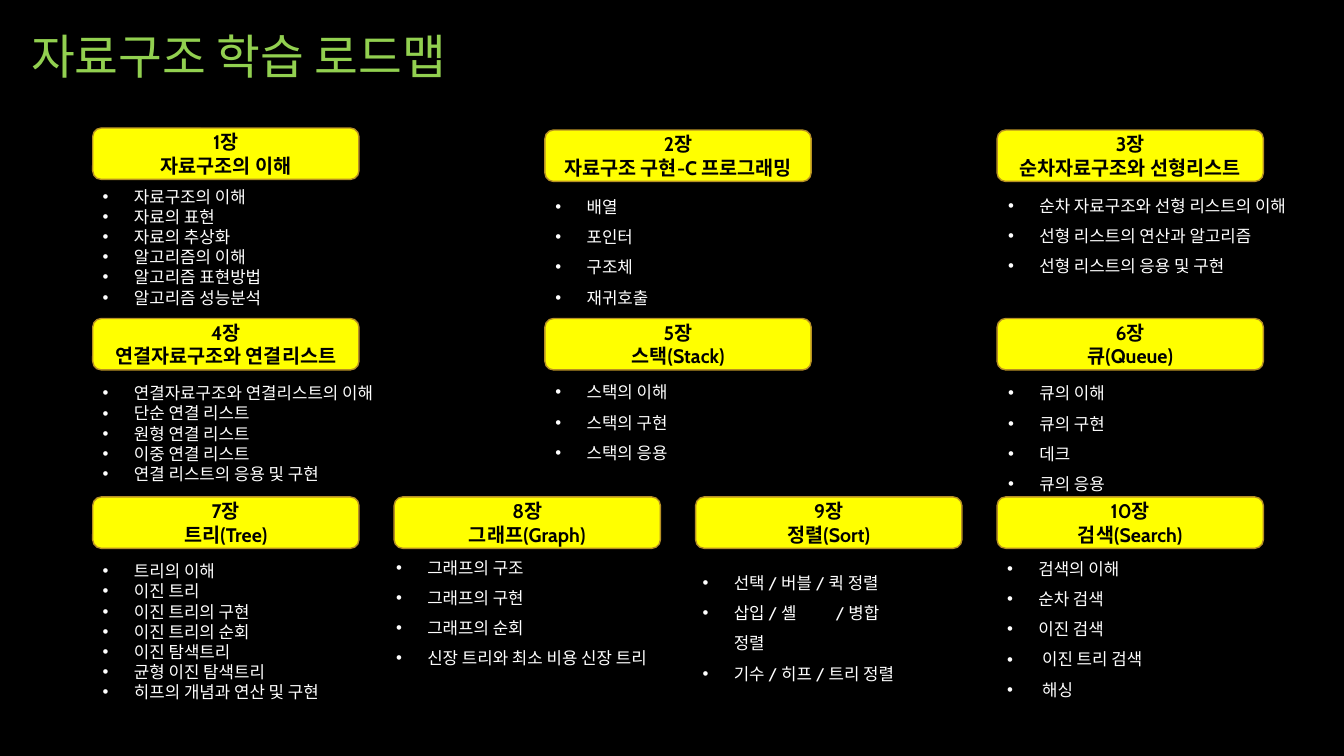
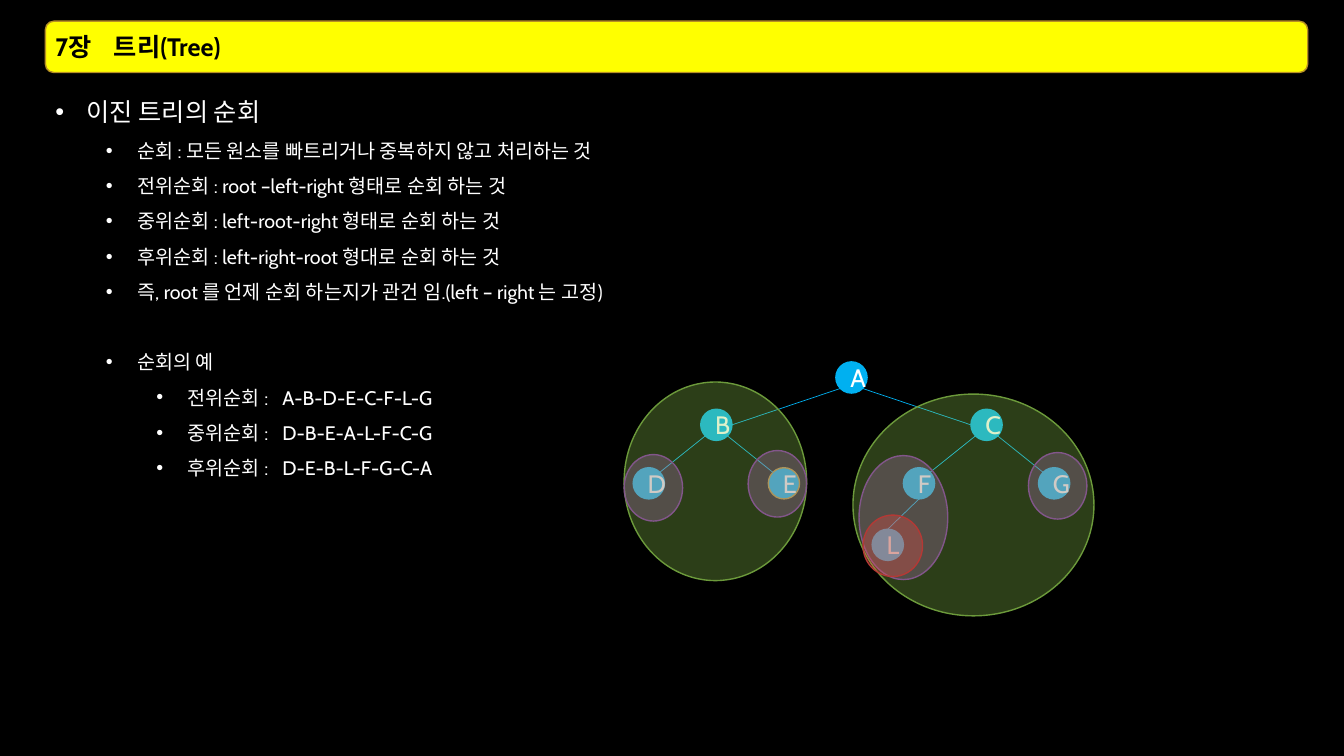
"""Build the data structure road map and the tree traversal slide."""
from lxml.etree import SubElement
from pptx import Presentation
from pptx.dml.color import RGBColor
from pptx.enum.shapes import MSO_CONNECTOR as Line, MSO_SHAPE as Shape
from pptx.enum.text import MSO_ANCHOR as Anchor, MSO_AUTO_SIZE as AutoSize, PP_ALIGN as Align
from pptx.oxml.ns import qn
from pptx.util import Inches, Pt

BODY_FONT, TITLE_FONT = "Cabin", "Noto Sans CJK KR"
BLACK, WHITE, YELLOW, GOLD = "000000", "FFFFFF", "FFFF00", "B79024"
GREEN, BLUE = "92D050", "00B0F0"
SUBTREE, LEAF, DEEPEST = (GREEN, "6C9A3B"), ("B074BA", "82568A"), ("F34D47", "B43935")

FIRST_LEFT, COLUMN_STEP = 0.92, 2.99
BANNER_WIDTH, BANNER_HEIGHT = 2.64, 0.51
BULLET_INDENT = 0.31
SORT_TAB, CHAPTER_TAB, EXAMPLE_TAB = 1.32, 0.58, 2.25

ROADMAP_TITLE = "자료구조 학습 로드맵"
CHAPTERS = [
    ("자료구조의 이해", 0, 1.27, (0.92, 1.78, 1.97, 1.34), 1,
     ["자료구조의 이해", "자료의 표현", "자료의 추상화", "알고리즘의 이해",
      "알고리즘 표현방법", "알고리즘 성능분석"]),
    ("자료구조 구현-C 프로그래밍", 1.5, 1.29, (5.41, 1.78, 1.97, 1.34), 1.5,
     ["배열", "포인터", "구조체", "재귀호출"]),
    ("순차자료구조와 선형리스트", 3, 1.29, (9.9, 1.62, 3.39, 1.34), 1.5,
     ["순차 자료구조와 선형 리스트의 이해", "선형 리스트의 연산과 알고리즘",
      "선형 리스트의 응용 및 구현"]),
    ("연결자료구조와 연결리스트", 0, 3.16, (0.92, 3.75, 3.15, 1.1), 1,
     ["연결자료구조와 연결리스트의 이해", "단순 연결 리스트", "원형 연결 리스트",
      "이중 연결 리스트", "연결 리스트의 응용 및 구현"]),
    ("스택(Stack)", 1.5, 3.16, (5.41, 3.59, 1.97, 1.1), 1.5,
     ["스택의 이해", "스택의 구현", "스택의 응용"]),
    ("큐(Queue)", 3, 3.16, (9.9, 3.75, 3.39, 1.1), 1.5,
     ["큐의 이해", "큐의 구현", "데크", "큐의 응용"]),
    ("트리(Tree)", 0, 4.93, (0.92, 5.48, 3.15, 1.57), 1,
     ["트리의 이해", "이진 트리", "이진 트리의 구현", "이진 트리의 순회",
      "이진 탐색트리", "균형 이진 탐색트리", "히프의 개념과 연산 및 구현"]),
    ("그래프(Graph)", 1, 4.93, (3.83, 5.48, 2.96, 1.1), 1.5,
     ["그래프의 구조", "그래프의 구현", "그래프의 순회", "신장 트리와 최소 비용 신장 트리"]),
    ("정렬(Sort)", 2, 4.93, (6.87, 5.63, 2.2, 1.1), 1.5,
     ["선택 / 버블 / 퀵 정렬", "삽입 / 셸\t/ 병합 정렬", "기수 / 히프 / 트리 정렬"]),
    ("검색(Search)", 3, 4.93, (9.89, 5.48, 3.39, 1.42), 1.5,
     ["검색의 이해", "순차 검색", "이진 검색", " 이진 트리 검색", " 해싱"]),
]

TREE_TITLE = "7장\t트리(Tree)"
TRAVERSAL = [
    (0, "이진 트리의 순회"),
    (1, "순회 : 모든 원소를 빠트리거나 중복하지 않고 처리하는 것"),
    (1, "전위순회 : root –left-right 형태로 순회 하는 것"),
    (1, "중위순회 : left-root-right 형태로 순회 하는 것"),
    (1, "후위순회 : left-right-root 형대로 순회 하는 것"),
    (1, "즉, root 를 언제 순회 하는지가 관건 임.(left – right 는 고정)"),
    (1, "순회의 예"),
    (2, "전위순회 :\tA-B-D-E-C-F-L-G"),
    (2, "중위순회 :\tD-B-E-A-L-F-C-G"),
    (2, "후위순회 :\tD-E-B-L-F-G-C-A"),
]
EXAMPLE_HEADING = "순회의 예"

NODE_SIZE = 0.31
NODES = {"A": (8.29, 3.59), "B": (6.95, 4.06), "C": (9.63, 4.06), "D": (6.28, 4.64),
         "E": (7.62, 4.64), "F": (8.96, 4.64), "G": (10.3, 4.64), "L": (8.65, 5.25)}
SITES = {"top": (0.5, 0), "bottom": (0.5, 1), "left": (0, 0.5), "right": (1, 0.5),
         "top left": (0.15, 0.15), "top right": (0.85, 0.15),
         "bottom left": (0.15, 0.85), "bottom right": (0.85, 0.85)}
EDGES = [("A", "bottom left", "B", "right"), ("A", "bottom right", "C", "left"),
         ("B", "bottom left", "D", "top right"), ("B", "bottom right", "E", "top left"),
         ("F", "bottom", "L", "top"), ("C", "bottom left", "F", "top right"),
         ("C", "bottom right", "G", "top left")]
REGIONS = [
    ((6.19, 3.79, 1.81, 1.97), SUBTREE), ((6.19, 4.51, 0.58, 0.66), LEAF),
    ((7.42, 4.47, 0.58, 0.66), LEAF), ((8.46, 3.91, 2.39, 2.2), SUBTREE),
    ((8.52, 4.52, 0.88, 1.23), LEAF), ((10.2, 4.49, 0.58, 0.66), LEAF),
    ((8.56, 5.11, 0.59, 0.61), DEEPEST),
]


def color(value):
    """Turn a hex string into a colour."""
    return RGBColor.from_string(value)


def place(box, area):
    """Move a box to left, top, width and height in inches."""
    box.left, box.top, box.width, box.height = map(Inches, area)


def write(para, text, size=12, fill=WHITE, bold=False, font=BODY_FONT, align=Align.LEFT,
          spacing=1, before=0):
    """Put formatted text into a paragraph."""
    para.alignment, para.line_spacing = align, spacing
    para.space_before, para.space_after = Pt(before), Pt(0)
    span = para.add_run()
    span.text = text
    span.font.size, span.font.bold, span.font.name = Pt(size), bold, font
    span.font.color.rgb = color(fill)


def add_bullet(para, level=0):
    """Give a paragraph a hanging round bullet."""
    para.level = level
    properties = para._p.get_or_add_pPr()
    properties.set("marL", str(Inches(BULLET_INDENT + level / 2)))
    properties.set("indent", str(-Inches(BULLET_INDENT)))
    SubElement(properties, qn("a:buFont"), typeface="Arial")
    SubElement(properties, qn("a:buChar"), char="•")


def add_tab_stop(para, position):
    """Set one left tab stop in a paragraph that holds a tab."""
    if "\t" in para.text:
        stops = SubElement(para._p.get_or_add_pPr(), qn("a:tabLst"))
        SubElement(stops, qn("a:tab"), pos=str(Inches(position)), algn="l")


def paragraphs(frame, count):
    """Return the given number of paragraphs of an empty frame."""
    return [frame.paragraphs[0]] + [frame.add_paragraph() for _ in range(count - 1)]


def prepare(frame, anchor):
    """Set wrapping and vertical anchor of a text frame."""
    frame.word_wrap, frame.auto_size, frame.vertical_anchor = True, AutoSize.NONE, anchor


def paint(shape, fill, outline):
    """Set a plain fill and a one-point outline."""
    shape.fill.solid()
    shape.fill.fore_color.rgb = color(fill)
    shape.line.color.rgb = color(outline)
    shape.line.width = Pt(1)


def add_shape(shapes, kind, area, fill, outline, alpha=None):
    """Draw a filled preset shape, translucent if alpha is given in percent."""
    shape = shapes.add_shape(kind, *map(Inches, area))
    shape.shadow.inherit = False
    paint(shape, fill, outline)
    if alpha is not None:
        tint = shape._element.spPr.find(qn("a:solidFill"))[0]
        SubElement(tint, qn("a:alpha"), val=str(alpha * 1000))
    return shape


def add_banner(slide, area):
    """Draw the yellow rounded band."""
    return add_shape(slide.shapes, Shape.ROUNDED_RECTANGLE, area, YELLOW, GOLD)


def set_title(slide, text, area, anchor, **style):
    """Place and fill the title placeholder."""
    place(slide.shapes.title, area)
    frame = slide.shapes.title.text_frame
    prepare(frame, anchor)
    write(frame.paragraphs[0], text, **style)
    add_tab_stop(frame.paragraphs[0], CHAPTER_TAB)


def add_chapter_list(slide, area, spacing, items):
    """Write the topics of one chapter."""
    frame = add_shape(slide.shapes, Shape.RECTANGLE, area, BLACK, BLACK).text_frame
    prepare(frame, Anchor.MIDDLE)
    for para, item in zip(paragraphs(frame, len(items)), items):
        write(para, item, spacing=spacing)
        add_bullet(para)
        add_tab_stop(para, SORT_TAB)


def build_roadmap(deck):
    """Build the overview of all chapters."""
    slide = deck.slides.add_slide(deck.slide_layouts[5])
    set_title(slide, ROADMAP_TITLE, (0.21, 0.21, 12.91, 0.68), Anchor.BOTTOM,
              size=34, fill=GREEN, font=TITLE_FONT, spacing=0.9)
    for number, (name, column, top, area, spacing, items) in enumerate(CHAPTERS, 1):
        add_chapter_list(slide, area, spacing, items)
        left = FIRST_LEFT + COLUMN_STEP * column
        banner = add_banner(slide, (left, top, BANNER_WIDTH, BANNER_HEIGHT))
        for para, text in zip(paragraphs(banner.text_frame, 2), (f"{number}장", name)):
            write(para, text, size=14, fill=BLACK, bold=True, align=Align.CENTER)


def site_point(node, site):
    """Return the slide position of a connection site of a node."""
    return [Inches(start + NODE_SIZE * share) for start, share in zip(NODES[node], SITES[site])]


def add_tree(slide):
    """Draw the binary tree and its shaded subtrees as one group."""
    shapes = slide.shapes.add_group_shape().shapes
    for name, corner in NODES.items():
        outline = GOLD if name == "E" else BLUE
        node = add_shape(shapes, Shape.OVAL, (*corner, NODE_SIZE, NODE_SIZE), BLUE, outline)
        write(node.text_frame.paragraphs[0], name, size=18, align=Align.CENTER)
    for parent, start, child, end in EDGES:
        edge = shapes.add_connector(Line.STRAIGHT, *site_point(parent, start),
                                    *site_point(child, end))
        edge.line.color.rgb = color(BLUE)
        edge.line.width = Pt(0.5)
        SubElement(edge._element.spPr, qn("a:effectLst"))
    for area, (fill, outline) in REGIONS:
        add_shape(shapes, Shape.OVAL, area, fill, outline, alpha=30)


def build_traversal(deck):
    """Build the slide on tree traversal."""
    slide = deck.slides.add_slide(deck.slide_layouts[1])
    area = (0.45, 0.21, 12.52, BANNER_HEIGHT)
    slide.shapes._spTree.insert(2, add_banner(slide, area)._element)
    set_title(slide, TREE_TITLE, area, Anchor.MIDDLE, size=18, fill=BLACK, bold=True)
    body = slide.placeholders[1]
    place(body, (0.45, 0.76, 12.52, 6.61))
    paint(body, BLACK, BLACK)
    prepare(body.text_frame, Anchor.TOP)
    for para, (level, text) in zip(paragraphs(body.text_frame, len(TRAVERSAL)), TRAVERSAL):
        write(para, text, size=14 if level else 18, spacing=1.5,
              before=25 if text == EXAMPLE_HEADING else 0)
        add_bullet(para, level)
        add_tab_stop(para, EXAMPLE_TAB)
    add_tree(slide)


def main():
    """Create and save the deck."""
    deck = Presentation()
    deck.slide_width, deck.slide_height = Inches(13.33), Inches(7.5)
    background = deck.slide_master.background.fill
    background.solid()
    background.fore_color.rgb = color(BLACK)
    build_roadmap(deck)
    build_traversal(deck)
    deck.save("out.pptx")


if __name__ == "__main__":
    main()
